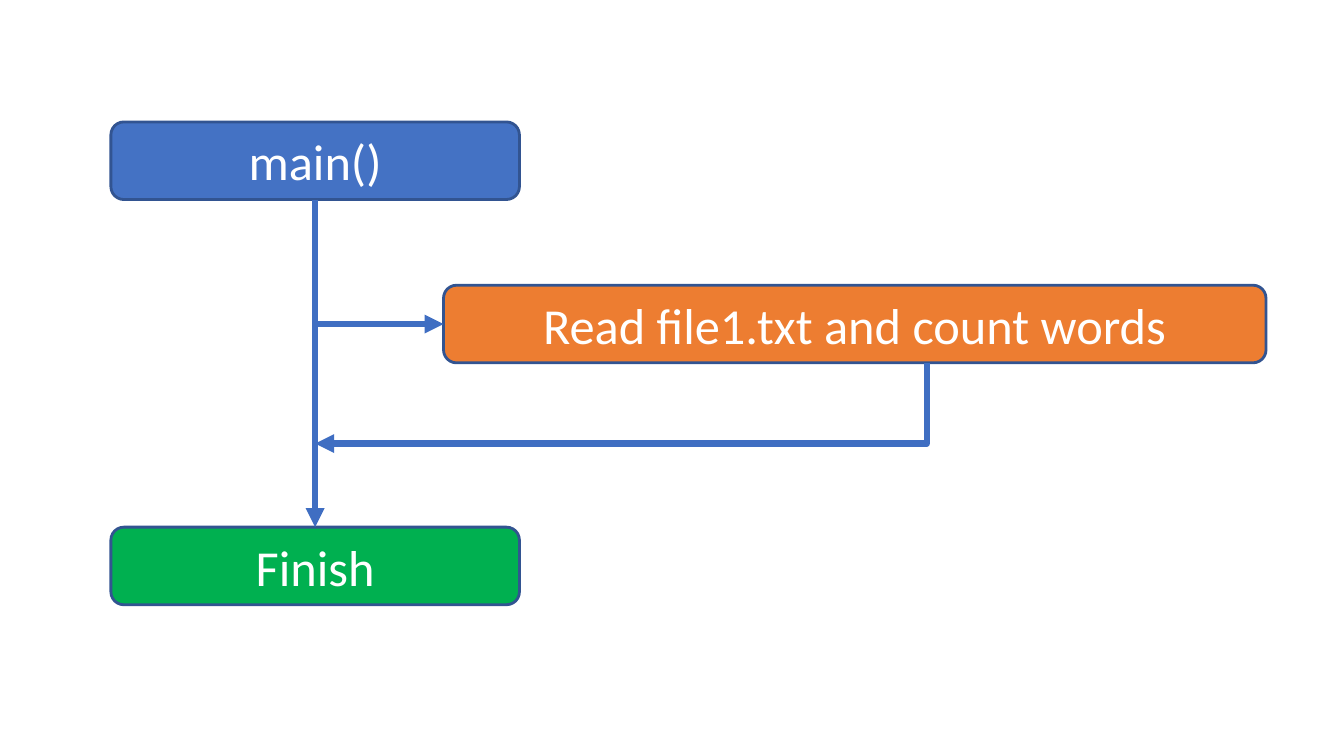
from dataclasses import dataclass

from lxml import etree
from pptx import Presentation
from pptx import util as u
from pptx.dml.color import RGBColor
from pptx.enum import shapes, text
from pptx.oxml.ns import qn


@dataclass(frozen=True)
class Theme:
    start: str = "4472C4"
    task: str = "ED7D31"
    finish: str = "00B050"
    outline: str = "325491"
    arrow: str = "3F6EC2"
    label: str = "FFFFFF"
    font: str = "Calibri"
    size: int = 36
    outline_width: int = 2
    arrow_width: float = 4.5


THEME = Theme()
WIDTH, HEIGHT = u.Inches(13.33), u.Inches(7.5)
BOX_HEIGHT = 10.27


def across(share):
    """Percentage of the slide's width."""
    return round(WIDTH * share / 100)


def down(share):
    """Percentage of the slide's height."""
    return round(HEIGHT * share / 100)


def write(sp, label, size=THEME.size, color=THEME.label, font=THEME.font):
    tf = sp.text_frame
    tf.word_wrap = True
    tf.vertical_anchor = text.MSO_ANCHOR.MIDDLE
    p = tf.paragraphs[0]
    p.alignment = text.PP_ALIGN.CENTER
    r = p.add_run()
    r.text = label
    r.font.name, r.font.size = font, u.Pt(size)
    r.font.color.rgb = RGBColor.from_string(color)


def set_line(line, color, width):
    line.color.rgb = RGBColor.from_string(color)
    line.width = u.Pt(width)


def add_step(s, label, left, top, width, fill):
    sp = s.shapes.add_shape(shapes.MSO_SHAPE.ROUNDED_RECTANGLE, across(left),
                            down(top), across(width), down(BOX_HEIGHT))
    sp.shadow.inherit = False
    sp.fill.solid()
    sp.fill.fore_color.rgb = RGBColor.from_string(fill)
    set_line(sp.line, THEME.outline, THEME.outline_width)
    write(sp, label)
    return sp


def add_arrow(s, x1, y1, x2, y2, kind=shapes.MSO_CONNECTOR.STRAIGHT):
    cx = s.shapes.add_connector(kind, x1, y1, x2, y2)
    set_line(cx.line, THEME.arrow, THEME.arrow_width)
    etree.SubElement(cx.line._get_or_add_ln(), qn("a:tailEnd"), type="triangle")
    etree.SubElement(cx._element.spPr, qn("a:effectLst"))
    return cx


def add_corner_arrow(s, x1, y1, x2, y2):
    """Arrow that runs down from its start, then left to its end."""
    mid_x, mid_y = (x1 + x2) // 2, (y1 + y2) // 2
    half_drop, half_run = (y2 - y1) // 2, (x1 - x2) // 2
    # The frame lies on its side and is turned a quarter clockwise
    cx = add_arrow(s, mid_x - half_drop, mid_y - half_run,
                   mid_x + half_drop, mid_y + half_run,
                   shapes.MSO_CONNECTOR.ELBOW)
    spPr = cx._element.spPr
    spPr.find(qn("a:xfrm")).set("rot", str(90 * 60000))
    spPr.find(qn("a:prstGeom")).set("prst", "bentConnector2")


def main():
    prs = Presentation()
    prs.slide_width, prs.slide_height = WIDTH, HEIGHT
    s = prs.slides.add_slide(prs.slide_layouts[6])

    # Steps
    task = add_step(s, "Read file1.txt and count words", 33, 37.73, 61.2, THEME.task)
    start = add_step(s, "main()", 8.25, 16.13, 30.4, THEME.start)
    finish = add_step(s, "Finish", 8.25, 69.73, 30.4, THEME.finish)
    trunk_x = start.left + start.width // 2
    task_y = task.top + task.height // 2

    # Main flow
    flow = add_arrow(s, trunk_x, start.top + start.height, trunk_x, finish.top)
    flow.begin_connect(start, 2)
    flow.end_connect(finish, 0)

    # Call to the task and return from it
    call = add_arrow(s, trunk_x, task_y, task.left, task_y)
    call.end_connect(task, 1)
    add_corner_arrow(s, across(68.95), task.top + task.height, trunk_x, down(58.67))

    prs.save("out.pptx")


if __name__ == "__main__":
    main()
